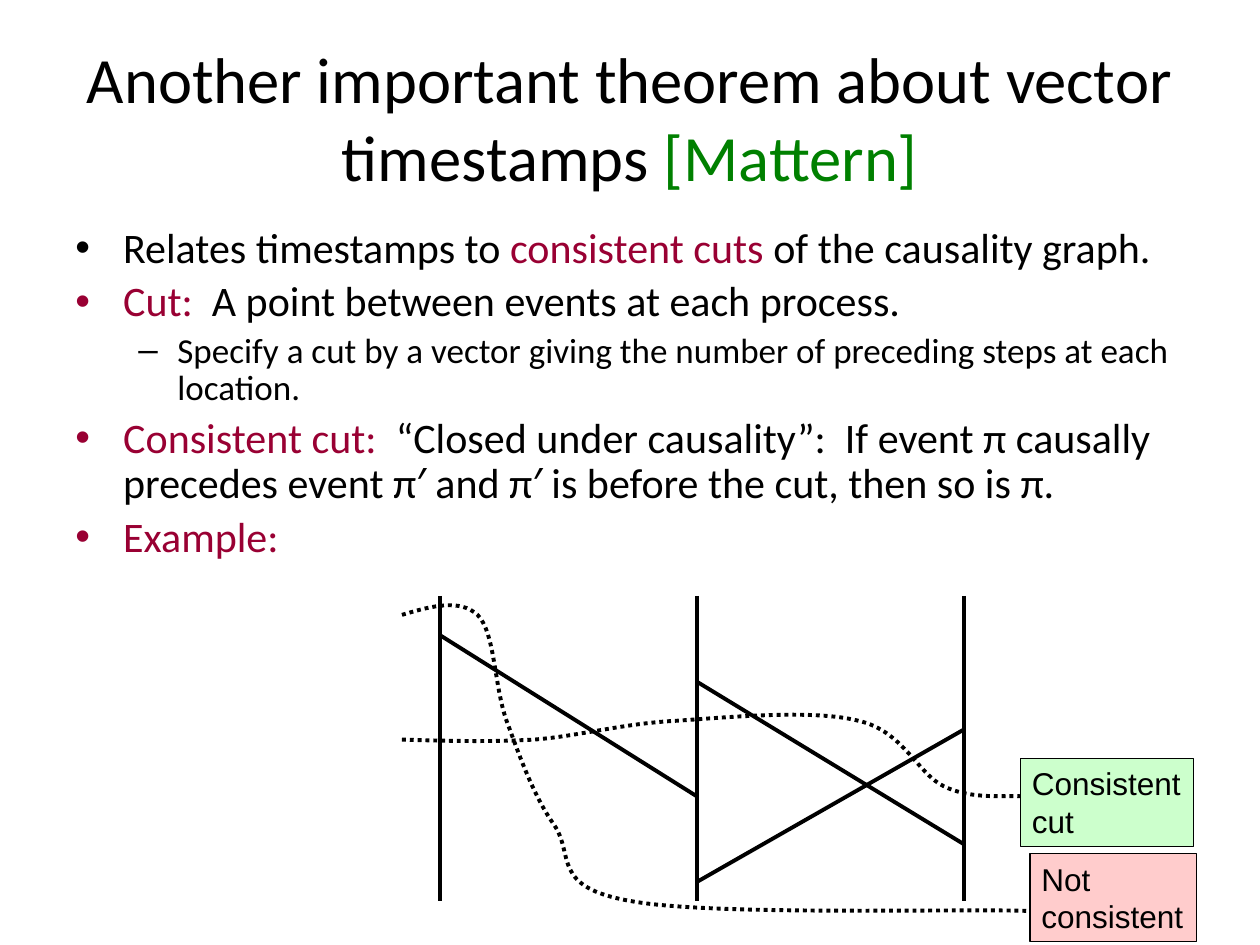
from lxml.etree import SubElement
from pptx import Presentation
from pptx.dml.color import RGBColor
from pptx.enum.dml import MSO_LINE
from pptx.enum.shapes import MSO_CONNECTOR, MSO_SHAPE
from pptx.enum.text import MSO_ANCHOR, MSO_AUTO_SIZE, PP_ALIGN
from pptx.oxml.ns import qn
from pptx.util import Inches, Pt

COLS, ROWS = 100, 75
COLORS = {"ink": "000000", "author": "008000", "term": "990033",
          "good": "CCFFCC", "bad": "FFCCCC"}
# Per bullet level: character, text size, left margin, hanging indent
LEVELS = [("•", 24, 0.38, -0.38), ("–", 20, 0.81, -0.31)]


def rgb(name):
    return RGBColor.from_string(COLORS[name])


def bend(path):
    """Turn each three straight segments of a path into one cubic curve."""
    segments = path.findall(qn("a:lnTo"))
    for i in range(0, len(segments), 3):
        curve = SubElement(path, qn("a:cubicBezTo"))
        for segment in segments[i:i + 3]:
            curve.append(segment[0])
            path.remove(segment)


class Deck:
    """Places elements on a grid of COLS by ROWS cells."""

    def __init__(self, width=10, height=7.5):
        self.prs = Presentation()
        self.prs.slide_width, self.prs.slide_height = Inches(width), Inches(height)
        self.s = self.prs.slides.add_slide(self.prs.slide_layouts[6])

    def at(self, col, row):
        return (round(self.prs.slide_width * col / COLS),
                round(self.prs.slide_height * row / ROWS))

    def frame(self, sp, **fmt):
        tf = sp.text_frame
        for name, value in fmt.items():
            setattr(tf, name, value)
        return tf

    def runs(self, p, parts, **fmt):
        """Add (text, colour name) parts to a paragraph."""
        for text, color in parts:
            r = p.add_run()
            r.text = text
            r.font.color.rgb = rgb(color)
            for name, value in fmt.items():
                setattr(r.font, name, value)

    def stroke(self, line, width=2.25):
        line.color.rgb = rgb("ink")
        line.width = Pt(width)

    def title(self, box, parts):
        sp = self.s.shapes.add_textbox(*self.at(*box[:2]), *self.at(*box[2:]))
        tf = self.frame(sp, word_wrap=True, vertical_anchor=MSO_ANCHOR.MIDDLE)
        p = tf.paragraphs[0]
        p.alignment = PP_ALIGN.CENTER
        self.runs(p, parts, name="Calibri", size=Pt(36.9))

    def bullets(self, box, items):
        sp = self.s.shapes.add_textbox(*self.at(*box[:2]), *self.at(*box[2:]))
        tf = self.frame(sp, word_wrap=True)
        for i, (level, parts) in enumerate(items):
            char, size, margin, indent = LEVELS[level]
            p = tf.add_paragraph() if i else tf.paragraphs[0]
            fmt = {"level": level, "line_spacing": 0.9, "space_before": Pt(size * 0.2)}
            for name, value in fmt.items():
                setattr(p, name, value)
            pPr = p._p.get_or_add_pPr()
            pPr.set("marL", str(Inches(margin)))
            pPr.set("indent", str(Inches(indent)))
            SubElement(pPr, qn("a:buFont"), typeface="Arial")
            SubElement(pPr, qn("a:buChar"), char=char)
            self.runs(p, parts, name="Calibri", size=Pt(size))

    def lines(self, ends):
        """Group of straight lines."""
        group = self.s.shapes.add_group_shape()
        for start, end in ends:
            c = group.shapes.add_connector(MSO_CONNECTOR.STRAIGHT,
                                           *self.at(*start), *self.at(*end))
            self.stroke(c.line)
            SubElement(c._element.spPr, qn("a:effectLst"))

    def cut(self, knots):
        """Dotted curve: a start point, then three points per cubic segment."""
        start, *rest = [self.at(*knot) for knot in knots]
        fb = self.s.shapes.build_freeform(*start)
        fb.add_line_segments(rest, close=False)
        sp = fb.convert_to_shape()
        bend(next(sp._element.iter(qn("a:path"))))
        sp.shadow.inherit = False
        sp.fill.background()
        self.stroke(sp.line)
        sp.line.dash_style = MSO_LINE.ROUND_DOT

    def label(self, box, lines, fill):
        sp = self.s.shapes.add_shape(MSO_SHAPE.RECTANGLE,
                                     *self.at(*box[:2]), *self.at(*box[2:]))
        sp.shadow.inherit = False
        sp.fill.solid()
        sp.fill.fore_color.rgb = rgb(fill)
        self.stroke(sp.line, 0.75)
        tf = self.frame(sp, word_wrap=False, auto_size=MSO_AUTO_SIZE.SHAPE_TO_FIT_TEXT,
                        vertical_anchor=MSO_ANCHOR.TOP,
                        margin_left=Inches(0.09), margin_right=Inches(0.09))
        for i, text in enumerate(lines):
            p = tf.add_paragraph() if i else tf.paragraphs[0]
            p.alignment = PP_ALIGN.LEFT
            self.runs(p, [(text, "ink")], name="Arial", size=Pt(18))


def main():
    deck = Deck()
    deck.title((5, 3, 90, 12.5), [
        ("Another important theorem about vector timestamps ", "ink"),
        ("[Mattern]", "author")])
    deck.bullets((5, 17.5, 90, 35.9), [
        (0, [("Relates timestamps to ", "ink"), ("consistent cuts", "term"),
             (" of the causality graph.", "ink")]),
        (0, [("Cut:", "term"), ("  A point between events at each process.", "ink")]),
        (1, [("Specify a cut by a vector giving the number of preceding "
              "steps at each location.", "ink")]),
        (0, [("Consistent cut:", "term"),
             ("  “Closed under causality”:  If event π causally precedes event π′ "
              "and π′ is before the cut, then so is π.", "ink")]),
        (0, [("Example:", "term")])])

    left, middle, right = 34.9, 55.3, 76.5
    processes = [((col, 47.3), (col, 71.5)) for col in (left, right, middle)]
    messages = [((left, 50.4), (middle, 63.2)),
                ((right, 57.9), (middle, 70)),
                ((middle, 54.1), (right, 67))]
    deck.lines(processes + messages)

    deck.cut([(31.9, 48.8), (34.2, 48.1), (36.5, 47.5), (37.9, 48.8),
              (39.3, 50.2), (39.2, 54.4), (40.2, 57.2),
              (41.2, 59.9), (42.3, 63.1), (44, 65.5),
              (45.6, 67.9), (43.7, 70.4), (50, 71.5),
              (56.3, 72.7), (76.5, 72.1), (81.7, 72.3)])
    deck.label((81.75, 67.73, 13.2, 7), ["Not", "consistent"], "bad")
    deck.cut([(31.9, 58.7), (35.3, 58.8), (38.8, 58.9), (42.4, 58.7),
              (46.1, 58.4), (49.5, 57.4), (53.8, 57.2),
              (58.1, 56.9), (64.6, 56.3), (68.1, 57.2),
              (71.7, 58), (72.8, 61.4), (74.9, 62.4),
              (77.1, 63.5), (80, 63.1), (81, 63.2)])
    deck.label((81, 60.18, 13.75, 7), ["Consistent", "cut"], "good")
    deck.prs.save("out.pptx")


if __name__ == "__main__":
    main()
